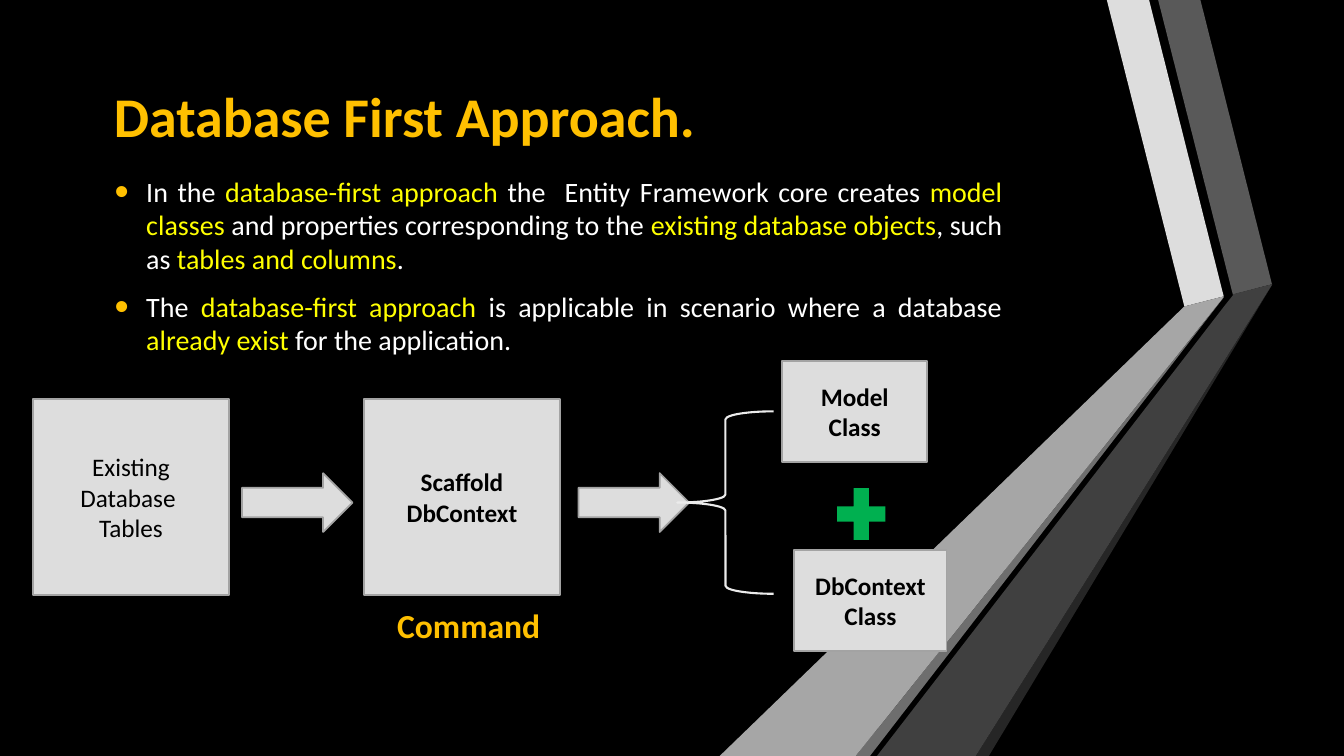
from dataclasses import dataclass

import pptx
import pptx.dml.color
import pptx.enum.shapes
import pptx.enum.text
import pptx.oxml
import pptx.oxml.ns
import pptx.util

Pt = pptx.util.Pt
Shape = pptx.enum.shapes.MSO_SHAPE
Align = pptx.enum.text.PP_ALIGN
Anchor = pptx.enum.text.MSO_ANCHOR

GOLD, YELLOW, WHITE, BLACK = "FFC000", "FFFF00", "FFFFFF", "000000"
PANEL, PANEL_EDGE, BRACE, GREEN = "DDDDDD", "A3A3A3", "EBEBEB", "00B050"


@dataclass
class Ribbon:
    color: str
    corners: list[tuple[float, float]]


@dataclass
class Step:
    kind: int
    left: float
    top: float
    width: float
    height: float
    text: str = ""
    bold: bool = True
    fill: str | None = PANEL
    line: str | None = PANEL_EDGE
    line_width: float = 1.25


def paint(color_format, hex_color: str) -> None:
    """Apply a hex colour to a fill or font colour."""
    color_format.rgb = pptx.dml.color.RGBColor.from_string(hex_color)


def write(frame, text: str, *, size: float, color: str, bold: bool = False,
          accent: str | None = None, align=Align.CENTER, anchor=Anchor.MIDDLE,
          before: float = 0, after: float = 0, margin: float = 7.2) -> None:
    """Write one paragraph per line; parts between asterisks take the accent."""
    frame.word_wrap = True
    frame.auto_size = pptx.enum.text.MSO_AUTO_SIZE.NONE
    frame.vertical_anchor = anchor
    frame.margin_left = frame.margin_right = Pt(margin)
    frame.margin_top = frame.margin_bottom = Pt(3.6)
    for number, line in enumerate(text.split("\n")):
        paragraph = frame.add_paragraph() if number else frame.paragraphs[0]
        paragraph.alignment = align
        paragraph.space_before, paragraph.space_after = Pt(before), Pt(after)
        for part, words in enumerate(line.split("*")):
            if not words:
                continue
            run = paragraph.add_run()
            run.text = words
            run.font.name, run.font.size, run.font.bold = "Calibri", Pt(size), bold
            paint(run.font.color, accent if accent and part % 2 else color)


def add_bullet(paragraph, color: str, percent: int, indent: float) -> None:
    properties = paragraph._p.get_or_add_pPr()
    properties.set("marL", str(Pt(indent)))
    properties.set("indent", str(-Pt(indent)))
    namespace = pptx.oxml.ns.nsdecls("a")
    for xml in (
        f'<a:buClr {namespace}><a:srgbClr val="{color}"/></a:buClr>',
        f'<a:buSzPct {namespace} val="{percent * 1000}"/>',
        f'<a:buFont {namespace} typeface="Arial"/>',
        f'<a:buChar {namespace} char="•"/>',
    ):
        properties.append(pptx.oxml.parse_xml(xml))


def style(shape, fill: str | None, line: str | None, line_width: float = 1) -> None:
    shape.shadow.inherit = False
    if fill:
        shape.fill.solid()
        paint(shape.fill.fore_color, fill)
    else:
        shape.fill.background()
    if line:
        paint(shape.line.color, line)
        shape.line.width = Pt(line_width)
    else:
        shape.line.fill.background()


def draw_ribbon(slide, ribbon: Ribbon) -> None:
    start, *rest = [(Pt(x), Pt(y)) for x, y in ribbon.corners]
    builder = slide.shapes.build_freeform(*start)
    builder.add_line_segments(rest, close=True)
    style(builder.convert_to_shape(), ribbon.color, None)


def draw_step(slide, step: Step) -> None:
    shape = slide.shapes.add_shape(
        step.kind, Pt(step.left), Pt(step.top), Pt(step.width), Pt(step.height))
    style(shape, step.fill, step.line, step.line_width)
    if step.text:
        write(shape.text_frame, step.text, size=18, color=BLACK, bold=step.bold, margin=8)


def add_label(slide, left: float, top: float, width: float, height: float):
    return slide.shapes.add_textbox(Pt(left), Pt(top), Pt(width), Pt(height)).text_frame


RIBBONS = [
    Ribbon(PANEL, [(874.1, 211.7), (846, 218.9), (790.6, 0), (820.8, 0)]),
    Ribbon("595959", [(880.6, 210.2), (827.3, 0), (857.5, 0), (908.6, 203), (881.3, 210.2)]),
    Ribbon("262626", [(908.6, 203.5), (706.3, 540), (697, 540)]),
    Ribbon("6E6E6E", [(611.3, 540), (874.1, 212.4), (621.4, 540)]),
    Ribbon("A6A6A6", [(874.1, 211.7), (874.1, 212.4), (611.3, 540), (514.1, 540), (846, 218.9)]),
    Ribbon("404040", [(626.4, 540), (875.5, 217.4), (880.6, 211), (880.6, 210.2),
                      (908.6, 203), (908.6, 203.5), (697, 540)]),
]

STEPS = [
    Step(Shape.RECTANGLE, 23.5, 285, 140, 140, "Existing\nDatabase \nTables", bold=False),
    Step(Shape.RECTANGLE, 260, 285, 140, 140, "Scaffold\nDbContext"),
    Step(Shape.RIGHT_ARROW, 172.8, 338, 79, 42),
    Step(Shape.RIGHT_ARROW, 413.2, 338, 79, 42),
    Step(Shape.RECTANGLE, 558.7, 257.8, 103.7, 72, "Model Class"),
    Step(Shape.RECTANGLE, 567.4, 393, 108.7, 72, "DbContext\nClass"),
    Step(Shape.LEFT_BRACE, 483.8, 293.8, 68.8, 130.3, fill=None, line=BRACE, line_width=1.5),
    Step(Shape.MATH_PLUS, 591.8, 342, 46.8, 50.4, fill=GREEN, line=None),
]

EXPLANATION = (
    "In the *database-first approach *the  Entity Framework core creates *model classes "
    "*and properties corresponding to the *existing database objects*, such as "
    "*tables and columns*.\n"
    "The *database-first approach *is applicable in scenario where a database "
    "*already exist *for the application."
)


def main() -> None:
    deck = pptx.Presentation()
    deck.slide_width, deck.slide_height = Pt(960), Pt(540)
    slide = deck.slides.add_slide(deck.slide_layouts.get_by_name("Title Only"))
    slide.background.fill.solid()
    paint(slide.background.fill.fore_color, BLACK)

    # Folded ribbons on the right
    for ribbon in RIBBONS:
        draw_ribbon(slide, ribbon)

    # Title
    title = slide.shapes.title
    title.left, title.top, title.width, title.height = Pt(74.2), Pt(25.2), Pt(695.5), Pt(113.8)
    write(title.text_frame, "Database First Approach.", size=40, color=GOLD, bold=True,
          align=Align.LEFT)

    # Explanation
    explanation = add_label(slide, 74.9, 121, 648, 160)
    write(explanation, EXPLANATION, size=20, color=WHITE, accent=YELLOW,
          align=Align.JUSTIFY, anchor=Anchor.TOP, before=4, after=6)
    for paragraph in explanation.paragraphs:
        add_bullet(paragraph, GOLD, 145, 22.5)

    # Flow from tables to generated classes
    for step in STEPS:
        draw_step(slide, step)
    write(add_label(slide, 252.7, 410.4, 164.2, 72), "Command", size=24, color=GOLD, bold=True)

    deck.save("out.pptx")


if __name__ == "__main__":
    main()
